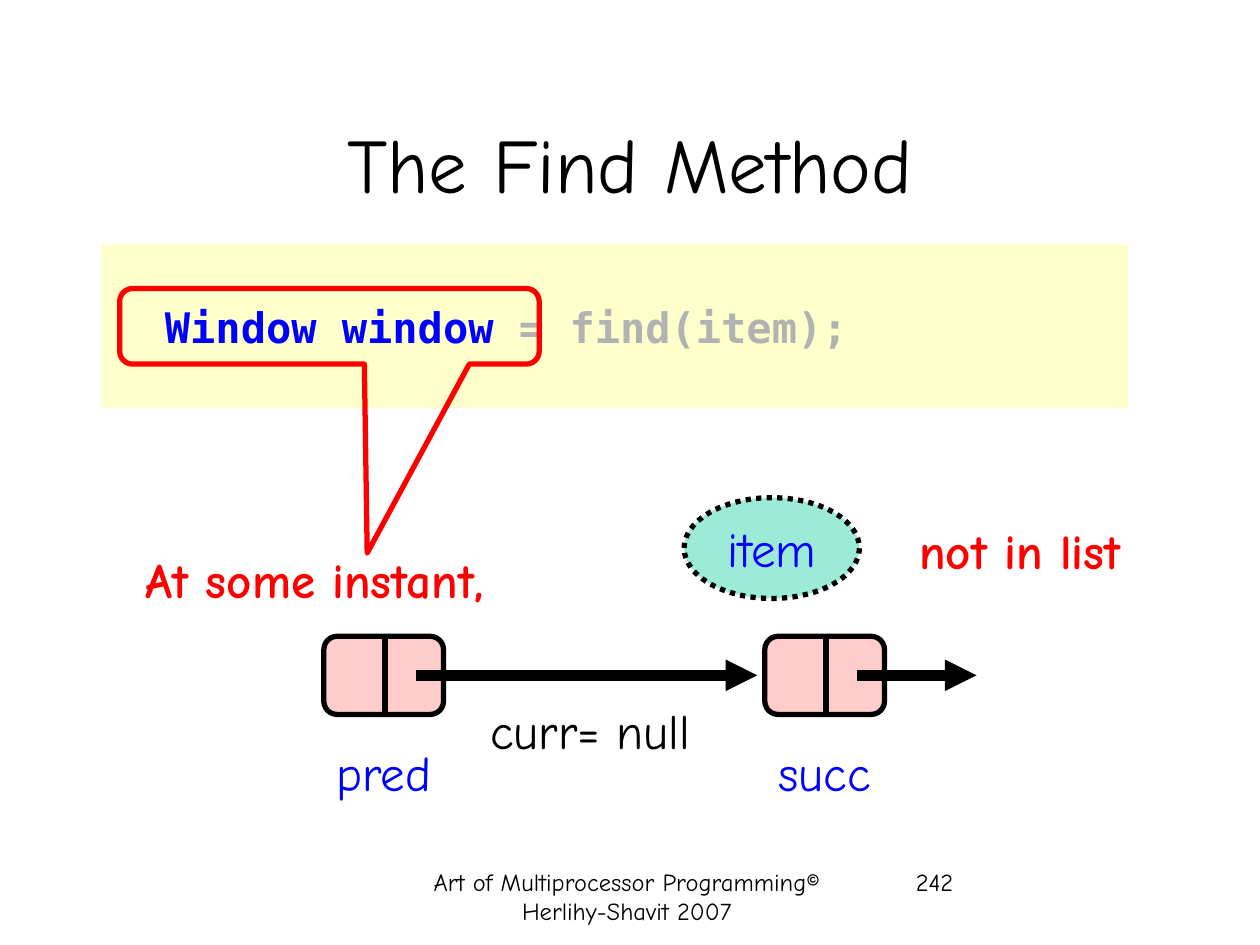
from lxml.etree import SubElement
from pptx import Presentation
from pptx.dml.color import RGBColor
from pptx.enum.dml import MSO_LINE
from pptx.enum.shapes import MSO_CONNECTOR, MSO_SHAPE
from pptx.enum.text import MSO_ANCHOR as Anchor, PP_ALIGN as Align
from pptx.oxml.ns import qn
from pptx.util import Inches, Pt

BLACK = RGBColor(0x00, 0x00, 0x00)
BLUE = RGBColor(0x00, 0x00, 0xFF)
RED = RGBColor(0xFF, 0x00, 0x00)
GREY = RGBColor(0xB2, 0xB2, 0xB2)
CREAM = RGBColor(0xFF, 0xFF, 0xCC)
PINK = RGBColor(0xFF, 0xCC, 0xCC)
GREEN = RGBColor(0x00, 0xCC, 0x99)
BODY_FONT = "Comic Neue"
CODE_FONT = "DejaVu Sans Mono"


def add_run(paragraph, text, size, color, bold=False, font=BODY_FONT):
    run = paragraph.add_run()
    run.text = text
    run.font.name = font
    run.font.size = Pt(size)
    run.font.bold = bold
    run.font.color.rgb = color


def add_label(slide, box, text, size=28, color=BLACK, bold=False,
              align=Align.CENTER, wrap=True):
    label = slide.shapes.add_textbox(*map(Inches, box))
    label.text_frame.word_wrap = wrap
    paragraph = label.text_frame.paragraphs[0]
    paragraph.alignment = align
    add_run(paragraph, text, size, color, bold)


def add_preset(shapes, preset, box, fill=None, line=None):
    shape = shapes.add_shape(preset, *map(Inches, box))
    shape.shadow.inherit = False
    if fill is None:
        shape.fill.background()
    else:
        shape.fill.solid()
        shape.fill.fore_color.rgb = fill
    if line is None:
        shape.line.fill.background()
    else:
        shape.line.color.rgb = line
        shape.line.width = Pt(3)
    return shape


def add_line(shapes, start, end, width, arrow=False):
    line = shapes.add_connector(MSO_CONNECTOR.STRAIGHT,
                                *map(Inches, (*start, *end)))
    line.line.color.rgb = BLACK
    line.line.width = Pt(width)
    if arrow:
        SubElement(line.line._get_or_add_ln(), qn("a:tailEnd"), type="triangle")
    SubElement(line._element.spPr, qn("a:effectLst"))


def add_title(slide, box):
    title = slide.shapes.title
    title.left, title.top, title.width, title.height = map(Inches, box)
    title.text_frame.vertical_anchor = Anchor.MIDDLE
    paragraph = title.text_frame.paragraphs[0]
    paragraph.alignment = Align.CENTER
    add_run(paragraph, "The Find Method", 44, BLACK)


def add_code_panel(slide, box):
    left, top, _, _ = box
    panel = add_preset(slide.shapes, MSO_SHAPE.RECTANGLE, box, fill=CREAM)
    panel.text_frame.vertical_anchor = Anchor.MIDDLE
    code = panel.text_frame.paragraphs[0]
    code.alignment = Align.LEFT
    add_run(code, "  Window window ", 24, BLUE, True, CODE_FONT)
    add_run(code, "= find(item);", 24, GREY, True, CODE_FONT)

    # Callout around the declaration, pointing down at the remark
    callout = add_preset(slide.shapes, MSO_SHAPE.ROUNDED_RECTANGULAR_CALLOUT,
                         (left + 0.14, top + 0.35, 3.33, 0.6), line=RED)
    for index, value in enumerate((0.09, 3, 0.17)):
        callout.adjustments[index] = value


def add_node(slide, box):
    left, top, width, height = box
    node = slide.shapes.add_group_shape()
    cell = add_preset(node.shapes, MSO_SHAPE.ROUNDED_RECTANGLE, box, PINK, BLACK)
    cell.adjustments[0] = 0.17
    middle = left + width / 2 + 0.01
    add_line(node.shapes, (middle, top), (middle, top + height), 3)


def add_linked_list(slide, box):
    left, top, _, node_height = box
    node_width, node_step = 0.95, 3.5
    nodes = (("pred", 2.71), ("succ", 0.95))
    for index, (name, arrow_length) in enumerate(nodes):
        node_left = left + index * node_step
        add_node(slide, (node_left, top, node_width, node_height))
        arrow_left, arrow_y = node_left + 0.73, top + node_height / 2
        add_line(slide.shapes, (arrow_left, arrow_y),
                 (arrow_left + arrow_length, arrow_y), 6, arrow=True)
        add_label(slide, (node_left - 0.03, top + 0.79, 1.01, 0.57),
                  name, color=BLUE, wrap=False)
    add_label(slide, (left + 1.16, top + 0.46, 1.91, 0.57),
              "curr= null", wrap=False)


def add_item(slide, box):
    item = add_preset(slide.shapes, MSO_SHAPE.OVAL, box, GREEN, BLACK)
    item.line.dash_style = MSO_LINE.ROUND_DOT
    fill_color = item._element.spPr.find(qn("a:solidFill")).find(qn("a:srgbClr"))
    SubElement(fill_color, qn("a:alpha"), val="39000")
    item.text_frame.word_wrap = False
    item.text_frame.vertical_anchor = Anchor.MIDDLE
    paragraph = item.text_frame.paragraphs[0]
    paragraph.alignment = Align.CENTER
    add_run(paragraph, "item", 28, BLUE)


def add_footer(slide, box):
    left, top, _, height = box
    add_label(slide, (left, top, 3.75, height),
              "Art of Multiprocessor Programming© Herlihy-Shavit 2007", size=14)
    add_label(slide, (left + 4.07, top, 2.08, height), "242", size=14,
              align=Align.LEFT)


def main():
    deck = Presentation()
    deck.slide_width, deck.slide_height = Inches(10), Inches(7.5)
    slide = deck.slides.add_slide(deck.slide_layouts[5])

    add_title(slide, (0.75, 0.67, 8.5, 1.25))
    add_code_panel(slide, (0.81, 1.94, 8.14, 1.3))
    add_label(slide, (0.43, 4.31, 4.27, 0.57), "At some instant, ",
              color=RED, bold=True)
    add_linked_list(slide, (2.57, 5.05, 5.19, 0.62))
    add_item(slide, (5.43, 3.95, 1.39, 0.8))
    add_label(slide, (6.73, 4.08, 2.87, 0.57), "not in list ",
              color=RED, bold=True)
    add_footer(slide, (3.1, 6.83, 6.15, 0.5))
    deck.save("out.pptx")


if __name__ == "__main__":
    main()
